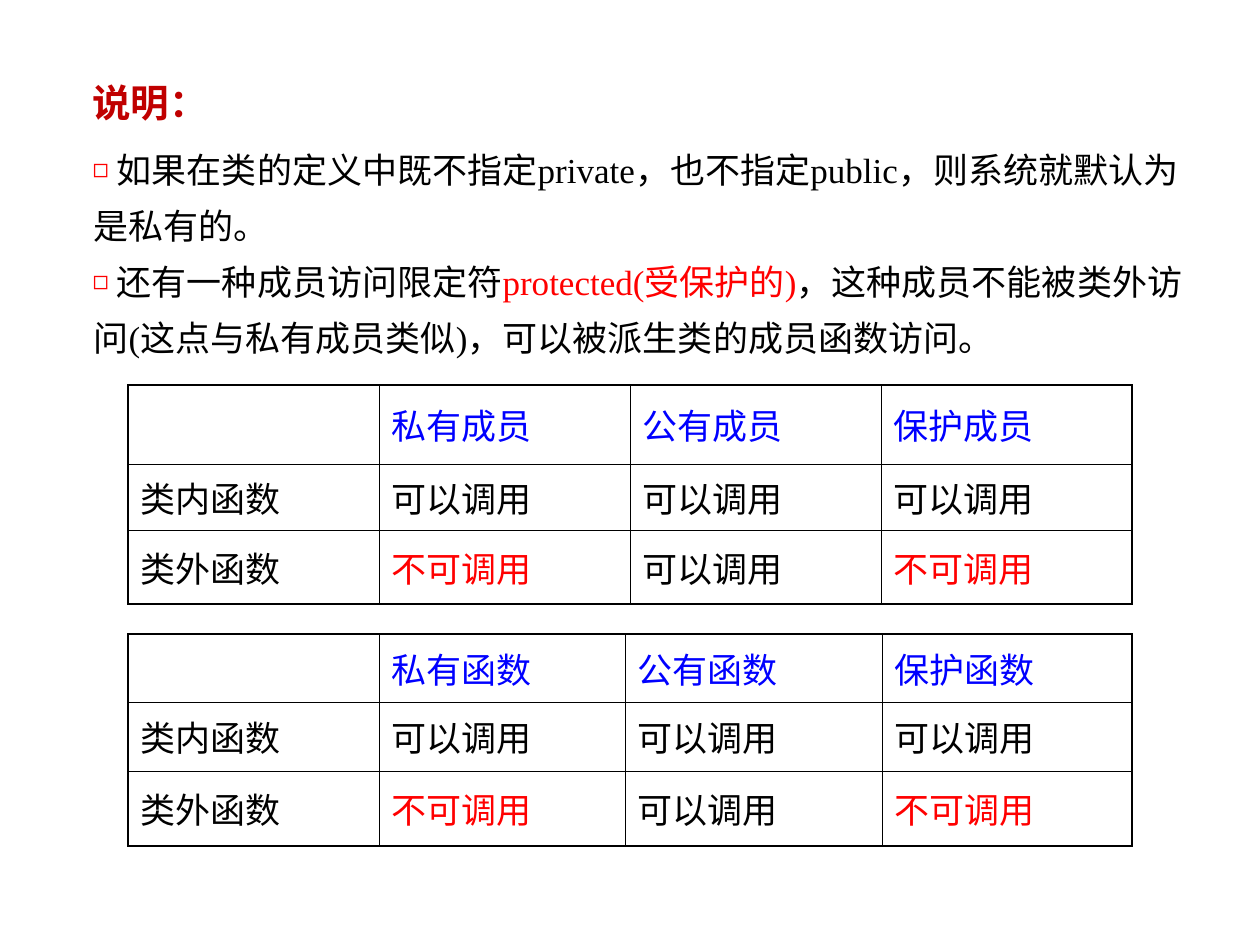
from lxml import etree
from pptx import Presentation
from pptx import util as u
from pptx.dml.color import RGBColor
from pptx.enum import text
from pptx.oxml.ns import qn

SCALE = 914400 / 126
LATIN, CJK = "Times New Roman", "Noto Sans CJK SC"
BLACK = RGBColor(0x00, 0x00, 0x00)
RED = RGBColor(0xFF, 0x00, 0x00)
BLUE = RGBColor(0x00, 0x00, 0xFF)
DARK_RED = RGBColor(0xC0, 0x00, 0x00)
THIN, THICK = u.Pt(0.45), u.Pt(1.08)

HEADING = {"size": u.Pt(22), "bold": True, "name": LATIN}
BODY = {"size": u.Pt(20), "bold": False, "name": LATIN}
CELL = {"size": u.Pt(20), "name": CJK}

NOTES = [
    [(" 如果在类的定义中既不指定private，也不指定public，则系统就默认为是私有的。", BLACK)],
    [(" 还有一种成员访问限定符", BLACK),
     ("protected(受保护的)", RED),
     ("，这种成员不能被类外访问(这点与私有成员类似)，可以被派生类的成员函数访问。", BLACK)],
]
ALLOWED, DENIED = "可以调用", "不可调用"
ACCESS = [
    ["类内函数", ALLOWED, ALLOWED, ALLOWED],
    ["类外函数", DENIED, ALLOWED, DENIED],
]


def px(n):
    return u.Emu(round(n * SCALE))


def add_child(parent, tag, **attrs):
    return etree.SubElement(parent, qn(tag), attrs)


def add_run(p, words, color, fmt):
    r = p.add_run()
    r.text = words
    for key, value in fmt.items():
        setattr(r.font, key, value)
    r.font.color.rgb = color
    add_child(r.font._element, "a:ea", typeface=CJK)


def set_indent(p):
    """Set the left margin and the slight hanging indent."""
    pPr = p._p.get_or_add_pPr()
    pPr.set("marL", str(px(39)))
    pPr.set("indent", str(px(-1)))
    return pPr


def add_bullet(pPr):
    color = add_child(pPr, "a:buClr")
    add_child(color, "a:srgbClr", val=str(RED))
    add_child(pPr, "a:buSzPct", val="75000")
    add_child(pPr, "a:buChar", char="◻")


def fill_notes(sp):
    sp.left, sp.top, sp.width, sp.height = px(42), px(73), px(1155), px(825)
    tf = sp.text_frame
    tf.word_wrap = True
    tf.auto_size = text.MSO_AUTO_SIZE.NONE
    tf.vertical_anchor = text.MSO_ANCHOR.TOP

    p = tf.paragraphs[0]
    set_indent(p)
    p.alignment = text.PP_ALIGN.LEFT
    p.space_before = u.Pt(0)
    add_run(p, "说明：", DARK_RED, HEADING)

    for i, runs in enumerate(NOTES):
        p = tf.add_paragraph()
        add_bullet(set_indent(p))
        p.alignment = text.PP_ALIGN.LEFT
        p.line_spacing = u.Pt(32)
        p.space_before = u.Pt(0 if i else 5)
        for words, color in runs:
            add_run(p, words, color, BODY)


def set_borders(cell, widths):
    """Draw black borders; widths are in the order left, right, top, bottom."""
    tcPr = cell._tc.get_or_add_tcPr()
    for side, width in zip("LRTB", widths):
        ln = add_child(tcPr, f"a:ln{side}", w=str(width))
        add_child(add_child(ln, "a:solidFill"), "a:srgbClr", val=str(BLACK))


def text_color(row, words):
    if row == 0:
        return BLUE
    return RED if words == DENIED else BLACK


def add_access_table(s, top, headers, cols, rows):
    data = [["", *headers], *ACCESS]
    last_row, last_col = len(rows) - 1, len(cols) - 1
    table = s.shapes.add_table(len(rows), len(cols), px(128), px(top),
                               px(sum(cols)), px(sum(rows))).table
    table.first_row = table.horz_banding = False
    for col, width in zip(table.columns, cols):
        col.width = px(width)
    for row, height in zip(table.rows, rows):
        row.height = px(height)

    for i, line in enumerate(data):
        for j, words in enumerate(line):
            cell = table.cell(i, j)
            outer = (j == 0, j == last_col, i == 0, i == last_row)
            set_borders(cell, [THICK if edge else THIN for edge in outer])
            cell.fill.background()
            cell.vertical_anchor = text.MSO_ANCHOR.MIDDLE
            if words:
                add_run(cell.text_frame.paragraphs[0], words,
                        text_color(i, words), CELL)


def main():
    prs = Presentation()
    prs.slide_width, prs.slide_height = px(1260), px(945)
    s = prs.slides.add_slide(prs.slide_layouts[0])
    title = s.shapes.title._element
    title.getparent().remove(title)

    fill_notes(s.placeholders[1])
    add_access_table(s, 385, ["私有成员", "公有成员", "保护成员"],
                     [251] * 4, [79, 66, 74])
    add_access_table(s, 634, ["私有函数", "公有函数", "保护函数"],
                     [251, 246, 257, 250], [68, 69, 75])
    prs.save("out.pptx")


if __name__ == "__main__":
    main()
